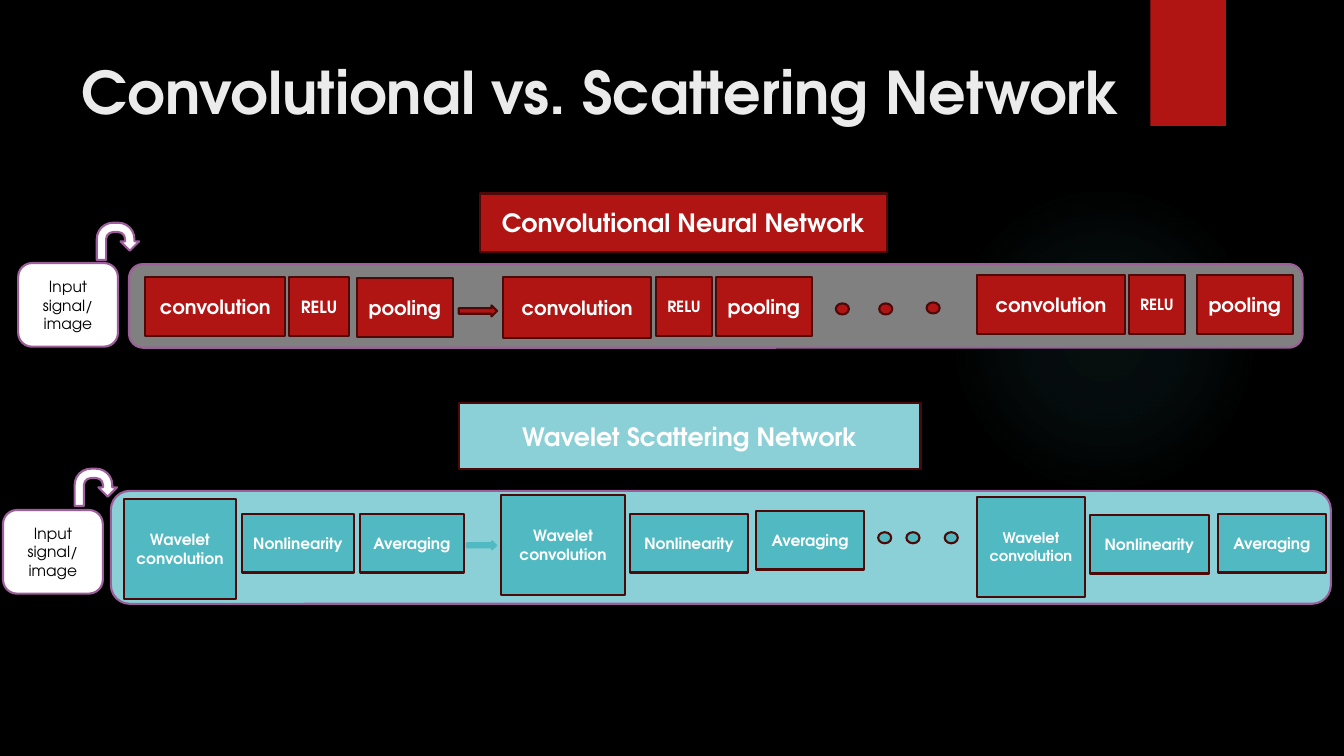
"""Builds a slide comparing a convolutional with a wavelet scattering network."""
from lxml import etree
from pptx import Presentation
from pptx.dml.color import RGBColor
from pptx.enum.shapes import MSO_SHAPE
from pptx.enum.text import MSO_ANCHOR, MSO_AUTO_SIZE, PP_ALIGN
from pptx.oxml import parse_xml
from pptx.util import Inches, Pt

RECT = MSO_SHAPE.RECTANGLE
ROUNDED = MSO_SHAPE.ROUNDED_RECTANGLE
OVAL = MSO_SHAPE.OVAL
RIGHT_ARROW = MSO_SHAPE.RIGHT_ARROW
U_TURN = MSO_SHAPE.U_TURN_ARROW
TOP, MIDDLE = MSO_ANCHOR.TOP, MSO_ANCHOR.MIDDLE
LEFT, CENTER = PP_ALIGN.LEFT, PP_ALIGN.CENTER
NO_AUTOFIT = MSO_AUTO_SIZE.NONE

FONT = "TeX Gyre Adventor"
BLACK, WHITE, RED, MAROON = "000000", "FFFFFF", "B01513", "4D0908"
TEAL, PALE_TEAL, GRAY, PURPLE = "50B9C1", "8AD0D6", "808080", "9E5E9B"


def write(frame, text, size, hue, bold, align, anchor):
    frame.word_wrap = True
    frame.vertical_anchor = anchor
    for index, line in enumerate(text.split("\n")):
        paragraph = frame.paragraphs[0] if index == 0 else frame.add_paragraph()
        paragraph.alignment = align
        run = paragraph.add_run()
        run.text = line
        run.font.name = FONT
        run.font.size = Pt(size)
        run.font.bold = bold
        run.font.color.rgb = RGBColor.from_string(hue)


def draw(kind, box, fill, line=None, text="", size=11, hue=WHITE, bold=True):
    shape = slide.shapes.add_shape(kind, *[Inches(length) for length in box])
    shape.shadow.inherit = False
    shape.fill.solid()
    shape.fill.fore_color.rgb = RGBColor.from_string(fill)
    if line:
        shape.line.color.rgb = RGBColor.from_string(line)
        shape.line.width = Pt(1.5)
    else:
        shape.line.fill.background()
    if text:
        write(shape.text_frame, text, size, hue, bold, CENTER, MIDDLE)
    return shape


prs = Presentation()
prs.slide_width, prs.slide_height = Inches(13.33), Inches(7.5)
slide = prs.slides.add_slide(prs.slide_layouts[5])
slide.background.fill.solid()
slide.background.fill.fore_color.rgb = RGBColor.from_string(BLACK)

glow = draw(OVAL, (9.41, 1.83, 3.08, 3.08), TEAL)
gradient = parse_xml(
    '<a:gradFill xmlns:a="http://schemas.openxmlformats.org/drawingml/2006/main">'
    '<a:gsLst/><a:path path="circle">'
    '<a:fillToRect l="50000" t="50000" r="50000" b="50000"/></a:path></a:gradFill>')
namespace = "{" + gradient.nsmap["a"] + "}"
for position, opacity in ((0, 7), (36, 6), (69, 0), (100, 0)):
    stop = etree.SubElement(gradient[0], namespace + "gs", pos=str(position * 1000))
    tint = etree.SubElement(stop, namespace + "srgbClr", val=TEAL)
    etree.SubElement(tint, namespace + "alpha", val=str(opacity * 1000))
solid = glow.element.spPr.find(namespace + "solidFill")
solid.getparent().replace(solid, gradient)

draw(RECT, (11.41, 0, 0.75, 1.25), RED)

title = slide.shapes.title
title.left, title.top, title.width, title.height = [
    Inches(length) for length in (0.71, 0.5, 11.17, 1.53)]
write(title.text_frame, "Convolutional vs. Scattering Network", 42, "EBEBEB",
      True, LEFT, TOP)
title.text_frame.auto_size = NO_AUTOFIT

WAVELET = "Wavelet\nconvolution"
networks = [
    {"heading": ("Convolutional Neural Network", (4.76, 1.92, 4.04, 0.58), RED),
     "track": ((1.28, 2.62, 11.64, 0.83), GRAY),
     "input": (0.18, 2.61), "turn": (0.96, 2.21),
     "fill": RED,
     "arrow": ((4.55, 3.03, 0.38, 0.11), MAROON),
     "dots": [(8.29, 3.01), (8.72, 3.01), (9.19, 3)],
     "stages": [("convolution", 14, 1.44, 2.75, 1.39, 0.58),
                ("RELU", 12, 2.87, 2.75, 0.59, 0.58),
                ("pooling", 14, 3.54, 2.76, 0.95, 0.58),
                ("convolution", 14, 4.99, 2.75, 1.47, 0.6),
                ("RELU", 11, 6.51, 2.75, 0.55, 0.58),
                ("pooling", 14, 7.1, 2.75, 0.95, 0.58),
                ("convolution", 14, 9.69, 2.73, 1.47, 0.58),
                ("RELU", 11, 11.2, 2.73, 0.55, 0.58),
                ("pooling", 14, 11.87, 2.73, 0.95, 0.58)]},
    {"heading": ("Wavelet Scattering Network", (4.55, 4, 4.58, 0.65), PALE_TEAL),
     "track": ((1.1, 4.87, 12.1, 1.12), PALE_TEAL),
     "input": (0.03, 5.06), "turn": (0.74, 4.65),
     "fill": TEAL,
     "arrow": ((4.63, 5.37, 0.29, 0.08), TEAL),
     "dots": [(8.71, 5.28), (8.99, 5.28), (9.37, 5.28)],
     "stages": [(WAVELET, 11, 1.23, 4.95, 1.11, 0.99),
                ("Nonlinearity", 11, 2.4, 5.1, 1.11, 0.58),
                ("Averaging", 11, 3.57, 5.1, 1.03, 0.58),
                (WAVELET, 11, 4.97, 4.91, 1.23, 0.99),
                ("Nonlinearity", 11, 6.25, 5.1, 1.17, 0.58),
                ("Averaging", 11, 7.5, 5.07, 1.07, 0.58),
                (WAVELET, 10.5, 9.69, 4.93, 1.07, 0.99),
                ("Nonlinearity", 11, 10.81, 5.11, 1.18, 0.58),
                ("Averaging", 11, 12.08, 5.1, 1.07, 0.58)]},
]

for network in networks:
    track_box, track_fill = network["track"]
    draw(ROUNDED, track_box, track_fill, PURPLE)
    for label, size, *stage_box in network["stages"]:
        draw(RECT, stage_box, network["fill"], MAROON, label, size)
    arrow_box, arrow_line = network["arrow"]
    draw(RIGHT_ARROW, arrow_box, network["fill"], arrow_line)
    for dot in network["dots"]:
        draw(OVAL, (*dot, 0.13, 0.11), network["fill"], MAROON)
    draw(ROUNDED, (*network["input"], 0.99, 0.83), WHITE, PURPLE,
         "Input signal/ image", 11, BLACK, False)
    draw(U_TURN, (*network["turn"], 0.42, 0.37), WHITE, PURPLE)
    heading, heading_box, heading_fill = network["heading"]
    draw(RECT, heading_box, heading_fill, MAROON, heading, 18)

prs.save("out.pptx")
